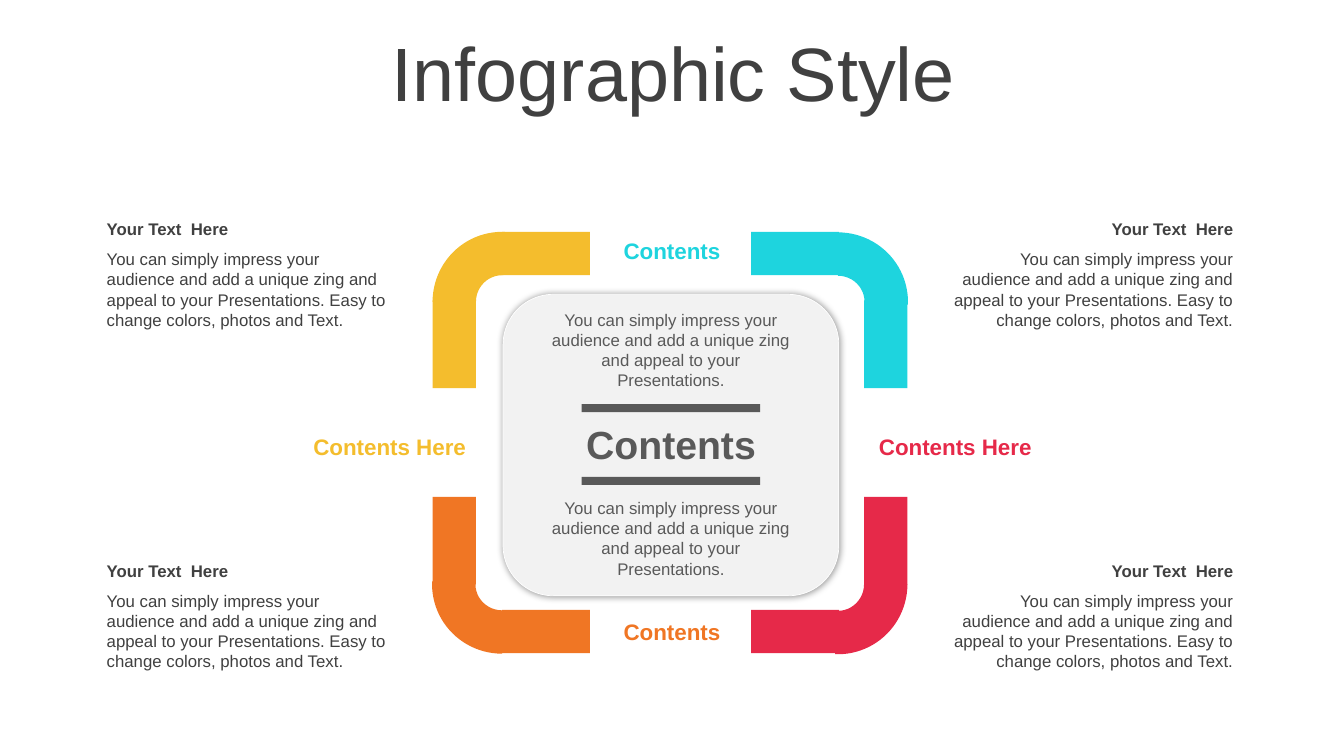
from lxml import etree
from pptx import Presentation
from pptx.dml.color import RGBColor
from pptx.enum.shapes import MSO_SHAPE
from pptx.enum.text import MSO_ANCHOR, MSO_AUTO_SIZE, PP_ALIGN
from pptx.oxml import parse_xml
from pptx.oxml.ns import nsdecls
from pptx.util import Inches, Pt

YELLOW = RGBColor(0xF4, 0xBD, 0x2D)
CYAN = RGBColor(0x1E, 0xD4, 0xDE)
ORANGE = RGBColor(0xF0, 0x76, 0x24)
RED = RGBColor(0xE6, 0x29, 0x49)
DARK = RGBColor(0x40, 0x40, 0x40)
GRAY = RGBColor(0x59, 0x59, 0x59)
PANEL = RGBColor(0xF2, 0xF2, 0xF2)
WHITE = RGBColor(0xFF, 0xFF, 0xFF)

BAND = 0.43
BAR = 0.87
PITCH = "You can simply impress your audience and add a unique zing and appeal to your Presentations."
DETAIL = PITCH + " Easy to change colors, photos and Text."

TITLE = {"size": Pt(54), "bold": False}
HUB = {"size": Pt(28), "bold": True}
LABEL = {"size": Pt(16), "bold": True}
HEADING = {"size": Pt(12), "bold": True}
BODY = {"size": Pt(12), "bold": False}


def add_text(slide, words, box, style, color, align=PP_ALIGN.CENTER, **frame_values):
    frame = slide.shapes.add_textbox(*map(Inches, box)).text_frame
    frame_format = {"word_wrap": True, "auto_size": MSO_AUTO_SIZE.SHAPE_TO_FIT_TEXT}
    for key, value in (frame_format | frame_values).items():
        setattr(frame, key, value)
    paragraph = frame.paragraphs[0]
    paragraph.text = words
    paragraph.alignment = align
    for key, value in ({"name": "Arial"} | style).items():
        setattr(paragraph.font, key, value)
    paragraph.font.color.rgb = color
    return paragraph


def add_block(slide, kind, box, color):
    block = slide.shapes.add_shape(kind, *map(Inches, box))
    block.shadow.inherit = False
    block.fill.solid()
    block.fill.fore_color.rgb = color
    block.line.fill.background()
    return block


def add_corner(slide, right, bottom, color):
    arc_box = (7.62 if right else 4.29, 5.1 if bottom else 2.3, 1.38, 1.39)
    arc = add_block(slide, MSO_SHAPE.BLOCK_ARC, arc_box, color)
    for index, value in enumerate((108, 163.388, 0.312)):
        arc.adjustments[index] = value
    arc.rotation = {(0, 0): 0, (1, 0): 90, (1, 1): 180, (0, 1): 270}[right, bottom]
    across = (7.45 if right else 4.98, 6.05 if bottom else 2.3, BAR, BAND)
    down = (8.57 if right else 4.29, 4.93 if bottom else 2.98, BAND, BAR)
    for box in (across, down):
        add_block(slide, MSO_SHAPE.RECTANGLE, box, color)


def add_panel(slide):
    panel = add_block(slide, MSO_SHAPE.ROUNDED_RECTANGLE, (4.99, 2.92, 3.33, 2.99), PANEL)
    panel.line.color.rgb = WHITE
    panel.line.width = Pt(0.5)
    effects = panel.element.spPr.find("{*}effectLst")
    effects.append(parse_xml(
        f'<a:outerShdw {nsdecls("a")} blurRad="{Pt(5)}" dist="0" dir="0" algn="ctr" rotWithShape="0">'
        '<a:srgbClr val="000000"><a:alpha val="40000"/></a:srgbClr></a:outerShdw>'))
    etree.cleanup_namespaces(effects)


def add_hub(slide):
    add_text(slide, "Contents", (5.68, 4.12, 1.95, 0.57), HUB, GRAY,
             vertical_anchor=MSO_ANCHOR.MIDDLE)
    for top in (4.01, 4.73):
        add_block(slide, MSO_SHAPE.RECTANGLE, (5.77, top, 1.77, 0.08), GRAY)
    for top in (3.02, 4.89):
        add_text(slide, PITCH, (5.35, top, 2.61, 0.91), BODY, GRAY)


def add_note(slide, left, top, width, align):
    add_text(slide, "Your Text  Here", (left, top, width, 0.3), HEADING, DARK, align)
    add_text(slide, DETAIL, (left, top + 0.3, width, 0.91), BODY, DARK, align)


def main():
    deck = Presentation()
    deck.slide_width = Inches(13.33)
    deck.slide_height = Inches(7.5)
    slide = deck.slides.add_slide(deck.slide_layouts[6])

    title = add_text(slide, "Infographic Style", (0.35, 0.37, 12.66, 0.79), TITLE, DARK,
                     auto_size=MSO_AUTO_SIZE.NONE, vertical_anchor=MSO_ANCHOR.MIDDLE)
    title.line_spacing = 0.9

    add_panel(slide)
    for words, left, top, color in (
        ("Contents", 5.62, 2.3, CYAN),
        ("Contents Here", 8.43, 4.25, RED),
        ("Contents Here", 2.82, 4.25, YELLOW),
        ("Contents", 5.62, 6.08, ORANGE),
    ):
        add_text(slide, words, (left, top, 2.09, 0.37), LABEL, color)

    for right, bottom, color in ((0, 0, YELLOW), (1, 0, CYAN), (0, 1, ORANGE), (1, 1, RED)):
        add_corner(slide, right, bottom, color)

    add_hub(slide)
    for top in (2.12, 5.51):
        add_note(slide, 0.96, top, 3.01, PP_ALIGN.LEFT)
        add_note(slide, 9.34, top, 2.99, PP_ALIGN.RIGHT)

    deck.save("out.pptx")


if __name__ == "__main__":
    main()
